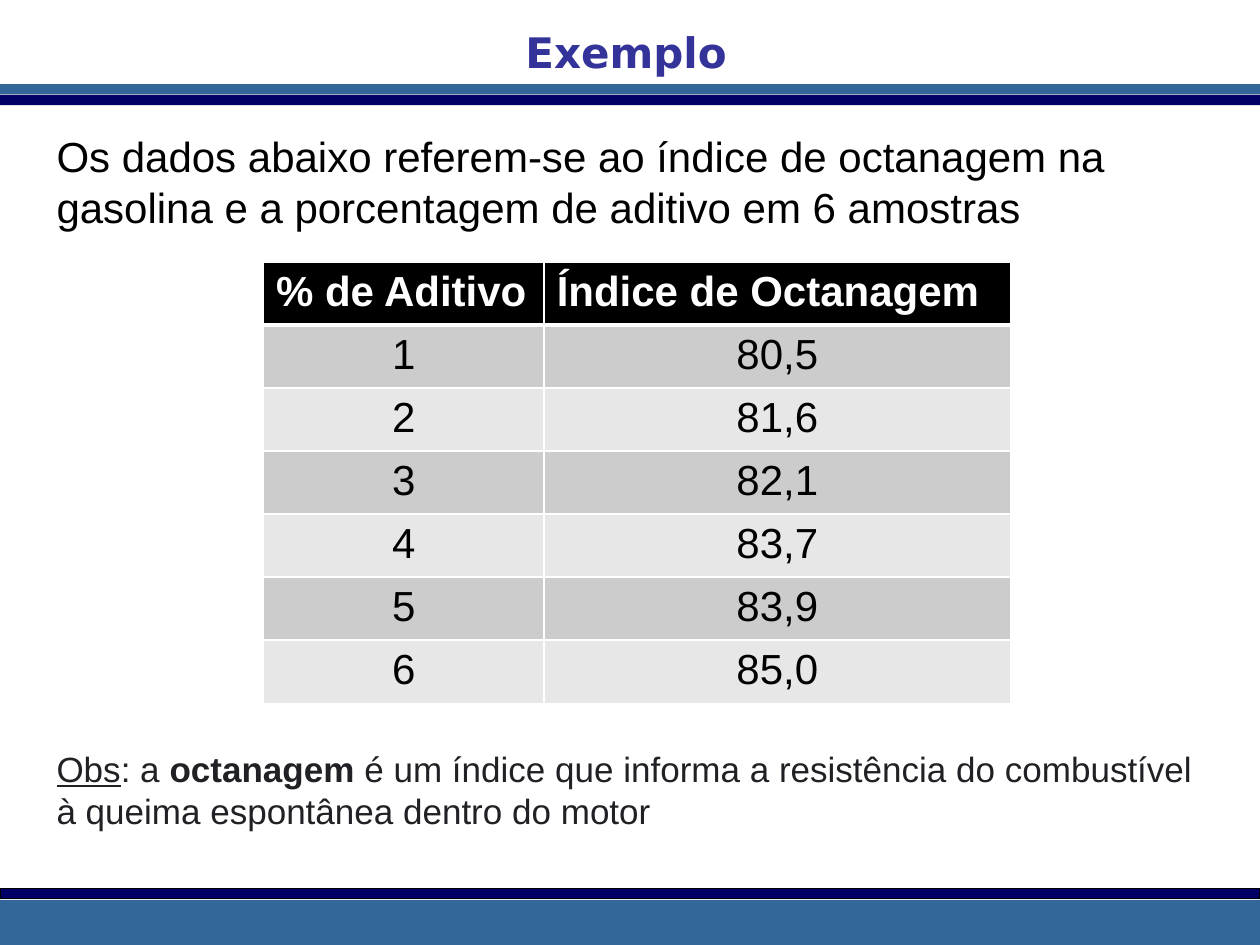
from lxml import etree
from pptx import Presentation
from pptx.dml.color import RGBColor
from pptx.enum.shapes import MSO_SHAPE
from pptx.enum.text import PP_ALIGN
from pptx.oxml.ns import qn
from pptx.util import Cm, Pt

RECT = MSO_SHAPE.RECTANGLE
LEFT, CENTER = PP_ALIGN.LEFT, PP_ALIGN.CENTER
WIDTH, HEIGHT = 25.4, 19.05
COLORS = {
    "white": "FFFFFF",
    "black": "000000",
    "steel": "336699",
    "navy": "000066",
    "title": "333399",
    "note": "202124",
    "odd": "CCCCCC",
    "even": "E7E7E7",
}
BODY = {"name": "Arial", "size": Pt(24)}
NOTE = {"name": "Arial", "size": Pt(20)}
TITLE = {"name": "DejaVu Sans", "size": Pt(24), "bold": True}
ROWS = [
    ("% de Aditivo", "Índice de Octanagem"),
    ("1", "80,5"),
    ("2", "81,6"),
    ("3", "82,1"),
    ("4", "83,7"),
    ("5", "83,9"),
    ("6", "85,0"),
]


def rgb(color):
    return RGBColor.from_string(COLORS[color])


def add_band(s, top, height, fill, line=None):
    sp = s.shapes.add_shape(RECT, 0, Cm(top), Cm(WIDTH), Cm(height))
    sp.shadow.inherit = False
    sp.fill.solid()
    sp.fill.fore_color.rgb = rgb(fill)
    if line:
        sp.line.color.rgb = rgb(line)
        sp.line.width = Pt(0.75)
    else:
        sp.line.fill.background()


def write(tf, runs, color, style, align=LEFT):
    p = tf.paragraphs[0]
    p.alignment = align
    for text, extra in runs:
        r = p.add_run()
        r.text = text
        r.font.color.rgb = rgb(color)
        for key, value in {**style, **extra}.items():
            setattr(r.font, key, value)


def add_text(s, box, runs, color, style, align=LEFT, wrap=True):
    tf = s.shapes.add_textbox(*map(Cm, box)).text_frame
    tf.word_wrap = wrap
    write(tf, runs, color, style, align)


def set_borders(cell, widths):
    tcPr = cell._tc.get_or_add_tcPr()
    for i, (side, width) in enumerate(widths.items()):
        ln = etree.Element(qn("a:ln" + side), w=str(Pt(width)))
        fill = etree.SubElement(ln, qn("a:solidFill"))
        etree.SubElement(fill, qn("a:srgbClr"), val=COLORS["white"])
        tcPr.insert(i, ln)


def add_data_table(s, left, top, col_widths, row_height):
    frame = s.shapes.add_table(
        len(ROWS), len(col_widths), Cm(left), Cm(top),
        Cm(sum(col_widths)), Cm(row_height * len(ROWS)))
    table = frame.table
    for column, width in zip(table.columns, col_widths):
        column.width = Cm(width)
    for i, values in enumerate(ROWS):
        table.rows[i].height = Cm(row_height)
        header = i == 0
        fill = "black" if header else "odd" if i % 2 else "even"
        color = "white" if header else "black"
        align = LEFT if header else CENTER
        for j, value in enumerate(values):
            cell = table.cell(i, j)
            cell.fill.solid()
            cell.fill.fore_color.rgb = rgb(fill)
            write(cell.text_frame, [(value, {"bold": header})], color, BODY, align)
            set_borders(cell, {"L": 1, "R": 1, "T": 3 if i == 1 else 1,
                               "B": 3 if header else 1})


def main():
    prs = Presentation()
    prs.slide_width, prs.slide_height = Cm(WIDTH), Cm(HEIGHT)
    s = prs.slides.add_slide(prs.slide_layouts[6])

    add_band(s, 1.7, 0.2, "steel", "steel")
    add_band(s, 1.9, 0.43, "white", "white")
    add_band(s, 1.91, 0.21, "navy")
    add_band(s, 18.14, 0.91, "steel")
    add_band(s, 17.91, 0.21, "navy", "black")

    add_text(s, (10.31, 0.41, 4.62, 1.27), [("Exemplo", {})],
             "title", TITLE, CENTER, False)
    add_text(s, (0.89, 2.51, 22, 2.31),
             [("Os dados abaixo referem-se ao índice de octanagem na gasolina "
               "e a porcentagem de aditivo em 6 amostras", {})], "black", BODY)
    add_text(s, (0.89, 14.94, 23.8, 1.96),
             [("Obs", {"underline": True}),
              (": a\u00a0", {}),
              ("octanagem", {"bold": True}),
              ("\u00a0é um índice que informa a resistência do combustível "
               "à queima espontânea dentro do motor", {})], "note", NOTE)
    add_data_table(s, 5.31, 5.28, (5.66, 9.4), 1.27)

    prs.save("out.pptx")


main()
